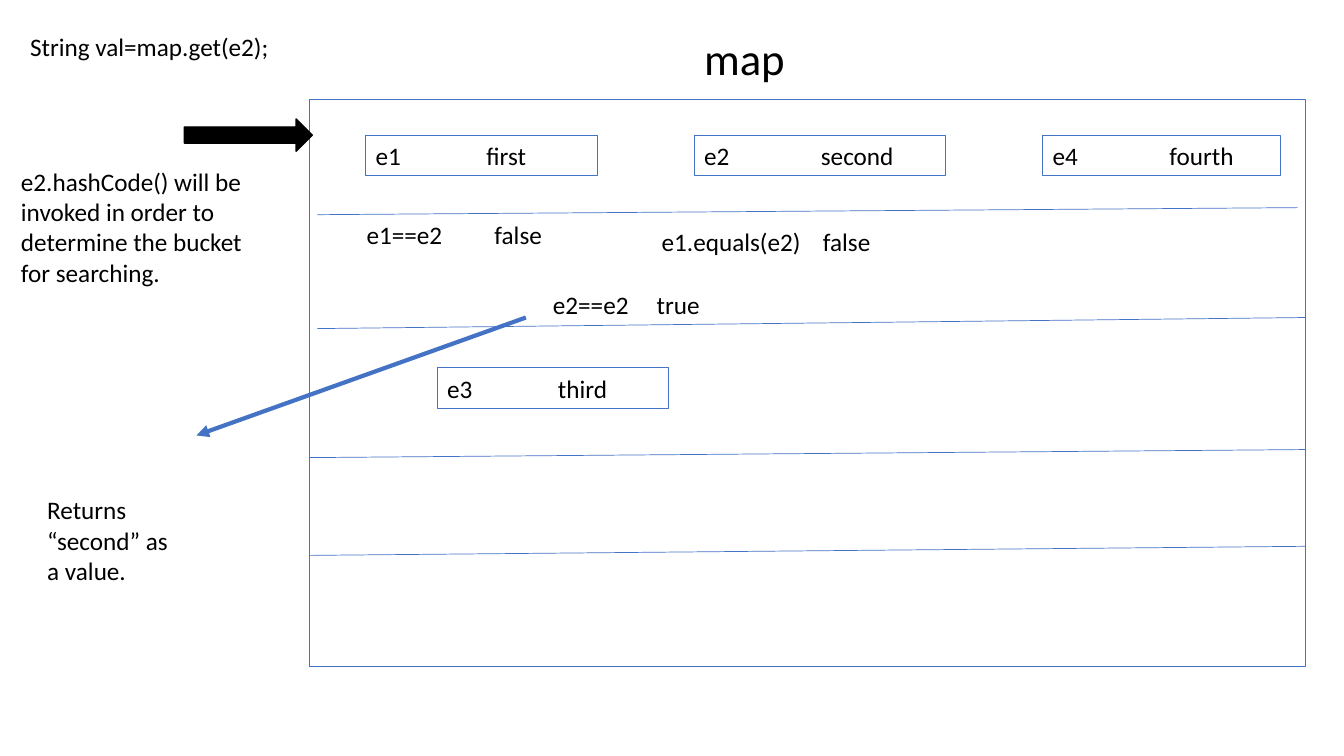
import pptx
import pptx.dml.color
import pptx.enum.shapes
import pptx.enum.text
import pptx.oxml
import pptx.oxml.ns
import pptx.util

PX = 9144
HUES = {"ink": "000000", "blue": "4472C4"}
KINDS = pptx.enum.shapes.MSO_SHAPE
FRAME = {
    "word_wrap": True,
    "auto_size": pptx.enum.text.MSO_AUTO_SIZE.SHAPE_TO_FIT_TEXT,
    "vertical_anchor": pptx.enum.text.MSO_ANCHOR.TOP,
}


def emu(*nums):
    """Turn px lengths into EMU."""
    return [num * PX for num in nums]


def hue(name):
    """Give the named colour."""
    return pptx.dml.color.RGBColor.from_string(HUES[name])


def node(tag, **atts):
    """Make an empty drawing element."""
    space = pptx.oxml.ns.nsdecls("a")
    item = pptx.oxml.parse_xml(f"<a:{tag} {space}/>")
    for key, val in atts.items():
        item.set(key, val)
    return item


def write(shape, text, size=18, tab=None):
    """Write left-aligned text, with an optional tab stop in px."""
    frame = shape.text_frame
    for key, val in FRAME.items():
        setattr(frame, key, val)
    para = frame.paragraphs[0]
    para.alignment = pptx.enum.text.PP_ALIGN.LEFT
    if tab:
        stops = node("tabLst")
        stops.append(node("tab", pos=str(tab * PX), algn="l"))
        para._p.get_or_add_pPr().append(stops)
    run = para.add_run()
    run.text = text
    looks = {"name": "Calibri", "size": pptx.util.Pt(size)}
    for key, val in looks.items():
        setattr(run.font, key, val)
    run.font.color.rgb = hue("ink")


def label(slide, box, text, size=18, tab=None):
    """Add a text box."""
    write(slide.shapes.add_textbox(*emu(*box)), text, size, tab)


def block(slide, box, kind=KINDS.RECTANGLE, fill=None, line="blue", width=0.75):
    """Add a preset shape, unfilled by default."""
    shape = slide.shapes.add_shape(kind, *emu(*box))
    shape.shadow.inherit = False
    if fill:
        shape.fill.solid()
        shape.fill.fore_color.rgb = hue(fill)
    else:
        shape.fill.background()
    shape.line.color.rgb = hue(line)
    shape.line.width = pptx.util.Pt(width)
    return shape


def stroke(slide, ends, width, arrow=False):
    """Add a straight blue line, with an optional arrowhead at its end."""
    straight = pptx.enum.shapes.MSO_CONNECTOR.STRAIGHT
    link = slide.shapes.add_connector(straight, *emu(*ends))
    link.line.color.rgb = hue("blue")
    link.line.width = pptx.util.Pt(width)
    if arrow:
        link.line._get_or_add_ln().append(node("tailEnd", type="triangle"))
    link._element.spPr.append(node("effectLst"))


def draw_map(slide, box):
    """Draw the map with its buckets, entries and key checks."""
    left, top, wide, high = box
    block(slide, box)
    label(slide, (left + 382, top - 73, 194, 64), "map", 32)
    entries = [
        (56, 35, 230, "e1\tfirst", 110),
        (382, 35, 250, "e2\tsecond", 116),
        (728, 35, 236, "e4\tfourth", 116),
        (127, 266, 230, "e3\tthird", 110),
    ]
    for x, y, width, text, tab in entries:
        write(block(slide, (left + x, top + y, width, 40)), text, tab=tab)
    rules = [
        (8, 114, wide - 8, 107),
        (8, 227, wide, 216),
        (0, 355, wide, 347),
        (0, 452, wide, 443),
    ]
    for x, y, far, end in rules:
        stroke(slide, (left + x, top + y, left + far, top + end), 0.5)
    checks = [
        (47, 114, 213, "e1==e2\tfalse", 127),
        (340, 121, 263, "e1.equals(e2)\tfalse", 160),
        (232, 183, 245, "e2==e2\ttrue", 103),
    ]
    for x, y, width, text, tab in checks:
        label(slide, (left + x, top + y, width, 40), text, tab=tab)


def draw_steps(slide, box):
    """Draw the lookup notes and the arrows into and out of the map."""
    left, top, wide, high = box
    notes = [
        (9, 0, 325, 40, "String val=map.get(e2);"),
        (0, 134, 262, 130, "e2.hashCode() will be invoked in order to "
                           "determine the bucket for searching."),
        (26, 460, 146, 100, "Returns “second” as a value."),
    ]
    for x, y, width, height, text in notes:
        label(slide, (left + x, top + y, width, height), text)
    block(slide, (left + wide - 127, top + 92, 127, 32),
          KINDS.RIGHT_ARROW, "ink", "ink", 1)
    stroke(slide, (left + 511, top + 289, left + 184, top + 406), 3, True)


def main():
    """Build and save the slide."""
    deck = pptx.Presentation()
    deck.slide_width, deck.slide_height = emu(1334, 750)
    slide = deck.slides.add_slide(deck.slide_layouts[6])
    draw_map(slide, (307, 99, 989, 562))
    draw_steps(slide, (11, 26, 299, 560))
    deck.save("out.pptx")


if __name__ == "__main__":
    main()
